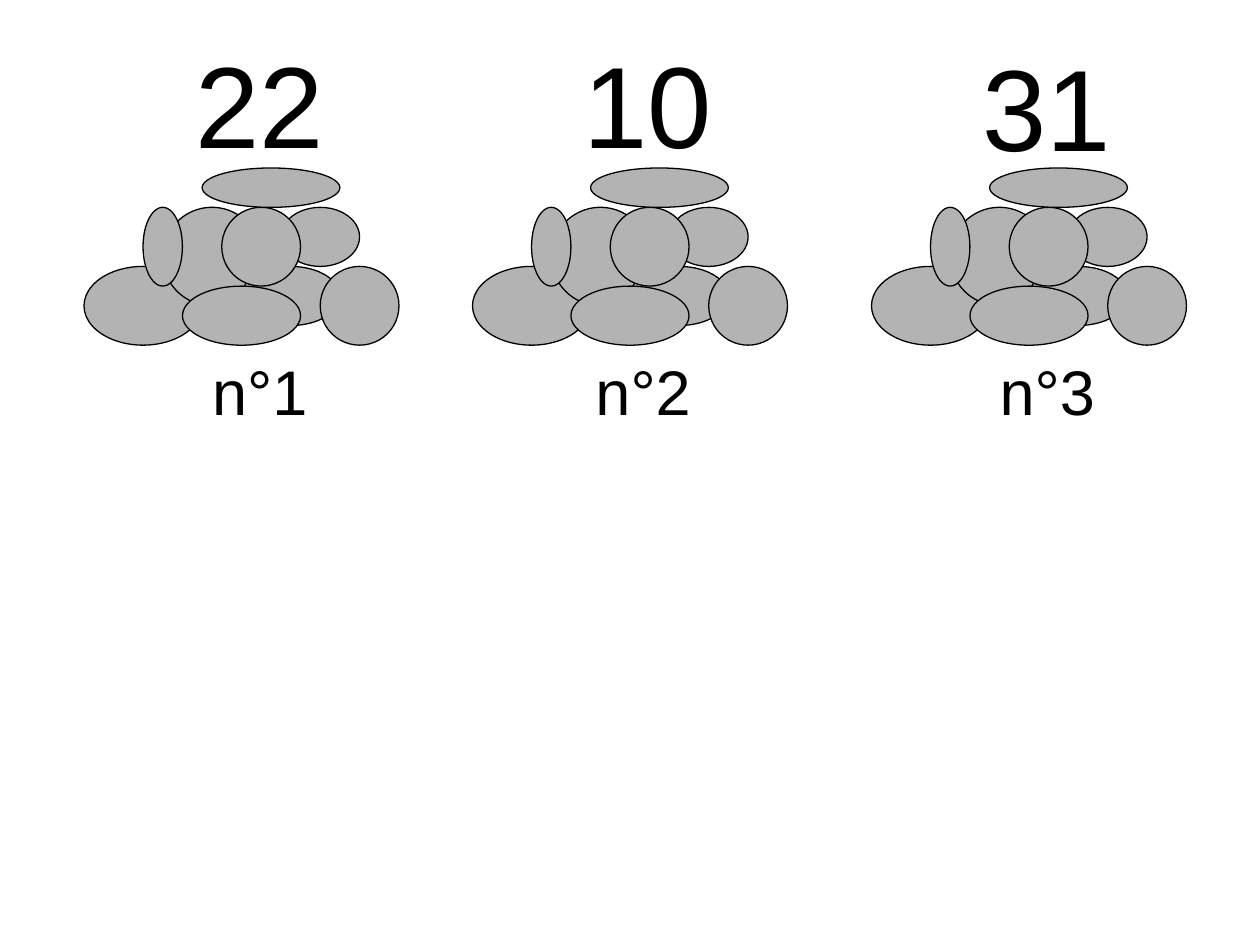
from pptx import Presentation
from pptx import util as u
from pptx.dml import color
from pptx.enum import shapes, text

UNIT = 11.25
HEAP_TOP = 96
STONES = [
    (0, 5, 6, 4),
    (4, 2, 5, 5),
    (8, 5, 5, 3),
    (5, 6, 6, 3),
    (10, 2, 4, 3),
    (12, 5, 4, 4),
    (7, 2, 4, 4),
    (3, 2, 2, 4),
    (6, 0, 7, 2),
]
HEAPS = [
    (48, "22", 15.5, "n°1", 64.5),
    (270, "10", 15.5, "n°2", 61.5),
    (498, "31", 17, "n°3", 64.5),
]


def rgb(value):
    return color.RGBColor.from_string(value)


def add_stone(heap, left, top, width, height):
    stone = heap.shapes.add_shape(
        shapes.MSO_SHAPE.OVAL, u.Pt(left), u.Pt(top), u.Pt(width), u.Pt(height)
    )
    stone.shadow.inherit = False
    stone.fill.solid()
    stone.fill.fore_color.rgb = rgb("B3B3B3")
    stone.line.color.rgb = rgb("000000")
    stone.line.width = u.Pt(0.75)


def add_heap(page, left):
    heap = page.shapes.add_group_shape()
    for column, row, columns, rows in STONES:
        add_stone(heap, left + column * UNIT, HEAP_TOP + row * UNIT,
                  columns * UNIT, rows * UNIT)


def add_label(page, words, left, top, width, height, size):
    box = page.shapes.add_textbox(u.Pt(left), u.Pt(top), u.Pt(width), u.Pt(height))
    frame = box.text_frame
    frame.word_wrap = False
    frame.auto_size = text.MSO_AUTO_SIZE.SHAPE_TO_FIT_TEXT
    frame.vertical_anchor = text.MSO_ANCHOR.MIDDLE
    para = frame.paragraphs[0]
    para.alignment = text.PP_ALIGN.CENTER
    span = para.add_run()
    span.text = words
    span.font.name = "Arial"
    span.font.size = u.Pt(size)
    span.font.color.rgb = rgb("000000")


def main():
    deck = Presentation()
    deck.slide_width, deck.slide_height = u.Pt(720), u.Pt(540)
    page = deck.slides.add_slide(deck.slide_layouts[6])
    for left, count, count_top, name, name_offset in HEAPS:
        add_heap(page, left)
        add_label(page, count, left + 5 * UNIT, count_top, 88, 86.5, 66)
        add_label(page, name, left + name_offset, 198, 72, 50.5, 36)
    deck.save("out.pptx")


if __name__ == "__main__":
    main()
